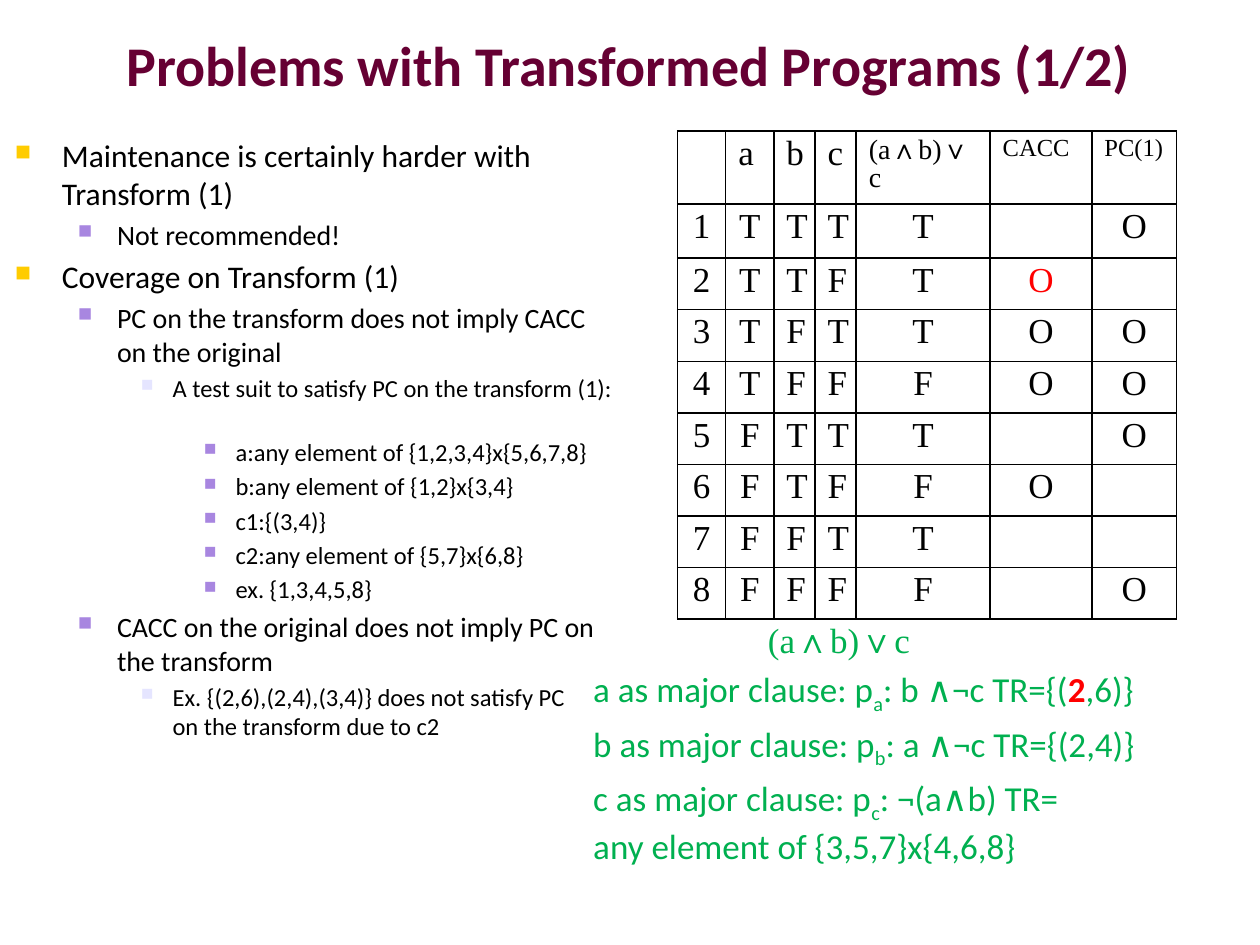
from dataclasses import dataclass

from lxml.etree import SubElement
from pptx import Presentation
from pptx.dml.color import RGBColor
from pptx.enum.text import MSO_ANCHOR, PP_ALIGN
from pptx.oxml import parse_xml
from pptx.oxml.ns import nsdecls, qn
from pptx.util import Cm, Pt


@dataclass(frozen=True)
class Theme:
    sans: str = "Calibri"
    serif: str = "Times New Roman"
    title: str = "660033"
    ink: str = "000000"
    red: str = "FF0000"
    green: str = "00B050"
    title_size: int = 32
    table_size: int = 20
    # One entry per outline level
    outline_sizes: tuple = (18, 16, 14, 14)
    bullet_colors: tuple = ("FFCC00", "A886E0", "E5E5FF", "A886E0")
    text_starts: tuple = (0.95, 2.06, 3.18, 4.45)
    hangings: tuple = (0.95, 0.79, 0.64, 0.64)
    space_before: float = 0.2


TITLE = "Problems with Transformed Programs (1/2)"

OUTLINE = [
    (0, "Maintenance is certainly harder with Transform (1)"),
    (1, "Not recommended!"),
    (0, "Coverage on Transform (1)"),
    (1, "PC on the transform does not imply CACC on the original"),
    (2, "A test suit to satisfy PC on the transform (1):"),
    (3, "a:any element of {1,2,3,4}x{5,6,7,8}"),
    (3, "b:any element of {1,2}x{3,4}"),
    (3, "c1:{(3,4)}"),
    (3, "c2:any element of {5,7}x{6,8}"),
    (3, "ex. {1,3,4,5,8}"),
    (1, "CACC on the original does not imply PC on the transform"),
    (2, "Ex. {(2,6),(2,4),(3,4)} does not satisfy PC\von the transform due to c2"),
]
FIRST_TEST = 5
TEST_LIST_GAP = 20

HEADINGS = ["", "a", "b", "c", "(a∧b)∨c", "CACC", "PC(1)"]
HEADING_SIZES = [20, 20, 20, 20, 16, 14, 14]
TRUTH_ROWS = [
    ["1", "T", "T", "T", "T", "", "O"],
    ["2", "T", "T", "F", "T", "O", ""],
    ["3", "T", "F", "T", "T", "O", "O"],
    ["4", "T", "F", "F", "F", "O", "O"],
    ["5", "F", "T", "T", "T", "", "O"],
    ["6", "F", "T", "F", "F", "O", ""],
    ["7", "F", "F", "T", "T", "", ""],
    ["8", "F", "F", "F", "F", "", "O"],
]
RED_CELL = (2, 5)
COLUMN_WIDTHS = [0.97, 0.97, 0.83, 0.83, 2.7, 2.05, 1.71]
ROW_HEIGHTS = [0.94, 1.09] + [1.04] * 7

# Each span is a text and its role
CLAUSES = [
    [("a as major clause: p", ""), ("a", "sub"), (": b ∧¬c TR={(", ""),
     ("2", "key"), (",6)}", "")],
    [("b as major clause: p", ""), ("b", "sub"), (": a ∧¬c TR={(2,4)}", "")],
    [("c as major clause: p", ""), ("c", "sub"), (": ¬(a∧b) TR=", ""),
     ("\v", "break"), ("any element of {3,5,7}x{4,6,8}", "")],
]


class SlideBuilder:
    def __init__(self, deck, theme):
        self.theme = theme
        self.page = deck.slides.add_slide(deck.slide_layouts[5])

    def style(self, font, size, color, name, bold=False):
        font.size, font.name, font.bold = Pt(size), name, bold
        font.color.rgb = RGBColor.from_string(color)

    def style_spans(self, para, *look, **options):
        for span in para.runs:
            self.style(span.font, *look, **options)

    def indent(self, para, start, hanging=0):
        properties = para._p.get_or_add_pPr()
        properties.set("marL", str(Cm(start)))
        properties.set("indent", str(-Cm(hanging)))
        return properties

    def bullet(self, para, level):
        theme = self.theme
        properties = self.indent(para, theme.text_starts[level], theme.hangings[level])
        color = SubElement(properties, qn("a:buClr"))
        SubElement(color, qn("a:srgbClr"), val=theme.bullet_colors[level])
        SubElement(properties, qn("a:buSzPct"), val="70000")
        SubElement(properties, qn("a:buChar"), char="■")

    def text_frame(self, left, top, width, height):
        box = self.page.shapes.add_textbox(Cm(left), Cm(top), Cm(width), Cm(height))
        box.text_frame.word_wrap = True
        return box.text_frame

    def title(self, text):
        title = self.page.shapes.title
        title.left, title.top, title.width, title.height = (
            Cm(0.28), Cm(0.2), Cm(24.8), Cm(2.18))
        frame = title.text_frame
        frame.text = text
        frame.vertical_anchor = MSO_ANCHOR.MIDDLE
        para = frame.paragraphs[0]
        para.alignment = PP_ALIGN.CENTER
        self.style_spans(para, self.theme.title_size, self.theme.title,
                         self.theme.sans, bold=True)

    def outline(self, items):
        theme = self.theme
        frame = self.text_frame(0.05, 2.62, 12.65, 15.29)
        for index, (level, text) in enumerate(items):
            para = frame.add_paragraph() if index else frame.paragraphs[0]
            para.text = text
            para.level = level
            size = theme.outline_sizes[level]
            self.bullet(para, level)
            if index:
                gap = TEST_LIST_GAP if index == FIRST_TEST else size * theme.space_before
                para.space_before = Pt(gap)
            self.style_spans(para, size, theme.ink, theme.sans)

    def border(self, cell):
        properties = cell._tc.get_or_add_tcPr()
        for position, side in enumerate(("lnL", "lnR", "lnT", "lnB")):
            properties.insert(position, parse_xml(
                f'<a:{side} {nsdecls("a")} w="{Pt(1)}"><a:solidFill>'
                f'<a:srgbClr val="{self.theme.ink}"/></a:solidFill></a:{side}>'))

    def truth_table(self):
        theme = self.theme
        rows = [HEADINGS] + TRUTH_ROWS
        table = self.page.shapes.add_table(
            len(rows), len(HEADINGS), Cm(13.66), Cm(2.64),
            Cm(sum(COLUMN_WIDTHS)), Cm(sum(ROW_HEIGHTS))).table
        for column, width in zip(table.columns, COLUMN_WIDTHS):
            column.width = Cm(width)
        for row_index, (values, height) in enumerate(zip(rows, ROW_HEIGHTS)):
            table.rows[row_index].height = Cm(height)
            for column_index, value in enumerate(values):
                cell = table.cell(row_index, column_index)
                cell.fill.background()
                self.border(cell)
                cell.text_frame.text = value
                para = cell.text_frame.paragraphs[0]
                para.line_spacing = 0.9
                para.alignment = PP_ALIGN.CENTER if row_index else PP_ALIGN.LEFT
                size = theme.table_size if row_index else HEADING_SIZES[column_index]
                color = theme.red if (row_index, column_index) == RED_CELL else theme.ink
                self.style_spans(para, size, color, theme.serif)

    def clauses(self, formula, lines):
        theme = self.theme
        size = theme.table_size
        frame = self.text_frame(10.44, 12.34, 13.4, 6.07)
        para = frame.paragraphs[0]
        para.text = formula
        self.indent(para, 4.79)
        self.style_spans(para, size, theme.green, theme.serif)
        for line in lines:
            para = frame.add_paragraph()
            self.indent(para, 1.27)
            para.space_before = Pt(size * theme.space_before)
            for text, role in line:
                if role == "break":
                    para.add_line_break()
                    continue
                span = para.add_run()
                span.text = text
                is_key = role == "key"
                self.style(span.font, size, theme.red if is_key else theme.green,
                           theme.sans, bold=is_key)
                if role == "sub":
                    span._r.get_or_add_rPr().set("baseline", "-25000")


def main():
    deck = Presentation()
    deck.slide_width, deck.slide_height = Cm(25.4), Cm(19.05)
    builder = SlideBuilder(deck, Theme())
    builder.title(TITLE)
    builder.outline(OUTLINE)
    builder.truth_table()
    builder.clauses("(a∧b)∨c", CLAUSES)
    deck.save("out.pptx")


if __name__ == "__main__":
    main()
